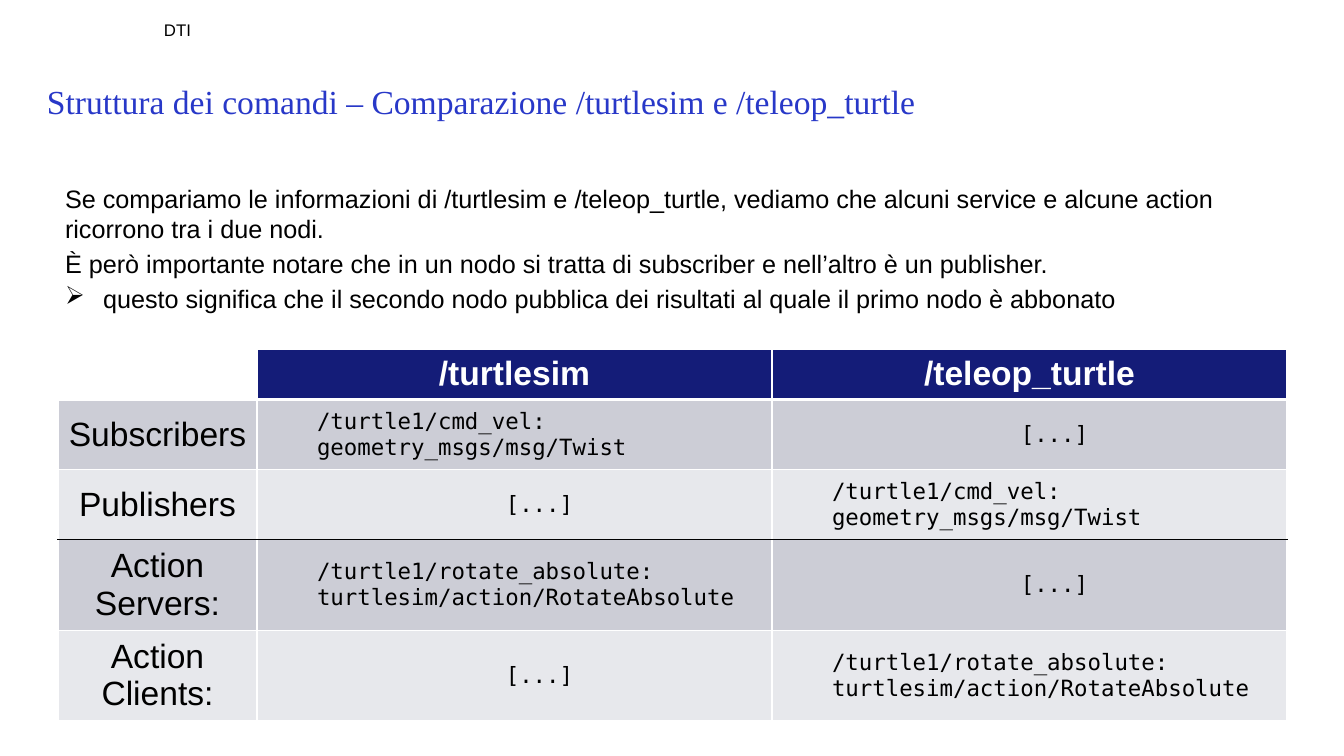
import dataclasses

import pptx
import pptx.dml.color
import pptx.enum.text
import pptx.oxml.ns
import pptx.oxml.xmlchemy
import pptx.util
from lxml import etree

CENTER = pptx.enum.text.PP_ALIGN.CENTER
LEFT = pptx.enum.text.PP_ALIGN.LEFT


@dataclasses.dataclass(frozen=True)
class Theme:
    black: str = "000000"
    white: str = "FFFFFF"
    title: str = "2838C8"
    header: str = "141C78"
    bands: tuple = ("CCCDD6", "E7E8EC")
    sans: str = "Arial"
    serif: str = "Times New Roman"
    mono: str = "DejaVu Sans Mono"
    small: int = 12
    code: int = 16
    body: int = 18
    large: int = 24


def px(length):
    return pptx.util.Emu(round(length * 914400 / 100.8))


def add_xml(parent, tag, **attributes):
    return etree.SubElement(parent, pptx.oxml.ns.qn(tag), attributes)


class SlideBuilder:
    def __init__(self, slide, theme):
        self.slide = slide
        self.theme = theme

    def style(self, paragraph, font, size, color, bold=False):
        paragraph.font.name = font
        paragraph.font.size = pptx.util.Pt(size)
        paragraph.font.bold = bold
        paragraph.font.color.rgb = pptx.dml.color.RGBColor.from_string(color)

    def indent(self, paragraph, left, first=0):
        properties = paragraph._p.get_or_add_pPr()
        properties.set("marL", str(px(left)))
        properties.set("indent", str(px(first)))
        return properties

    def text(self, box, lines, font, size, color, bullets=()):
        frame = self.slide.shapes.add_textbox(*map(px, box)).text_frame
        frame.word_wrap = True
        frame.margin_left = frame.margin_right = 0
        frame.margin_top = frame.margin_bottom = 0
        for number, line in enumerate(lines):
            paragraph = frame.paragraphs[0]
            if number:
                paragraph = frame.add_paragraph()
                paragraph.space_before = pptx.util.Pt(size * 0.2)
            paragraph.text = line
            if number in bullets:
                properties = self.indent(paragraph, 38, -38)
                add_xml(properties, "a:buChar", char="➢")
            self.style(paragraph, font, size, color)

    def border(self, cell, top, bottom, bottom_width):
        properties = cell._tc.get_or_add_tcPr()
        white = self.theme.white
        sides = (("L", white, 1), ("R", white, 1), ("T", top, 1), ("B", bottom, bottom_width))
        for side, color, width in sides:
            line = add_xml(properties, f"a:ln{side}", w=str(pptx.util.Pt(width)))
            add_xml(add_xml(line, "a:solidFill"), "a:srgbClr", val=color)

    def cell(self, cell, text, fill, font, size, color, bold=False, align=CENTER, left=0):
        cell.fill.solid()
        cell.fill.fore_color.rgb = pptx.dml.color.RGBColor.from_string(fill)
        cell.vertical_anchor = pptx.enum.text.MSO_ANCHOR.MIDDLE
        paragraph = cell.text_frame.paragraphs[0]
        paragraph.text = text
        paragraph.alignment = align
        if left:
            self.indent(paragraph, left)
        self.style(paragraph, font, size, color, bold)

    def table(self, left, top, widths, heights, content, rule_after):
        theme = self.theme
        box = (left, top, sum(widths), sum(heights))
        table = self.slide.shapes.add_table(len(heights), len(widths), *map(px, box)).table
        for column, width in zip(table.columns, widths):
            column.width = px(width)
        for row, height in zip(table.rows, heights):
            row.height = px(height)
        for r, texts in enumerate(content):
            for c, text in enumerate(texts):
                cell = table.cell(r, c)
                self.border(
                    cell,
                    theme.black if r == rule_after + 1 else theme.white,
                    theme.black if r == rule_after else theme.white,
                    1 if r else 3,
                )
                band = theme.bands[(r + 1) % 2]
                if r == 0:
                    fill = theme.header if c else theme.white
                    self.cell(cell, text, fill, theme.sans, theme.large, theme.white, True)
                elif c == 0:
                    self.cell(cell, text, band, theme.sans, theme.large, theme.black)
                else:
                    align = CENTER if text == NONE else LEFT
                    self.cell(cell, text, band, theme.mono, theme.code, theme.black,
                              align=align, left=50)


NONE = "[...]"
VELOCITY = "/turtle1/cmd_vel: geometry_msgs/msg/Twist"
ROTATION = "/turtle1/rotate_absolute: turtlesim/action/RotateAbsolute"
COMPARISON = [
    ["", "/turtlesim", "/teleop_turtle"],
    ["Subscribers", VELOCITY, NONE],
    ["Publishers", NONE, VELOCITY],
    ["Action Servers:", ROTATION, NONE],
    ["Action Clients:", NONE, ROTATION],
]
EXPLANATION = [
    "Se compariamo le informazioni di /turtlesim e /teleop_turtle, vediamo che alcuni "
    "service e alcune action ricorrono tra i due nodi.",
    "È però importante notare che in un nodo si tratta di subscriber e nell’altro è un publisher.",
    "questo significa che il secondo nodo pubblica dei risultati al quale il primo nodo è abbonato",
]


def main():
    presentation = pptx.Presentation()
    presentation.slide_width = px(1344)
    presentation.slide_height = px(756)
    theme = Theme()
    builder = SlideBuilder(presentation.slides.add_slide(presentation.slide_layouts[6]), theme)

    builder.text((164, 20, 1001, 52), ["DTI"], theme.sans, theme.small, theme.black)
    builder.text((65, 183, 1249, 521), EXPLANATION, theme.sans, theme.body, theme.black, bullets=(2,))
    builder.text((47, 81, 1249, 80), ["Struttura dei comandi – Comparazione /turtlesim e /teleop_turtle"],
                 theme.serif, theme.large, theme.title)
    builder.table(58, 349, (199, 515, 515), (48, 70, 70, 85, 85), COMPARISON, rule_after=2)

    presentation.save("out.pptx")


if __name__ == "__main__":
    main()
